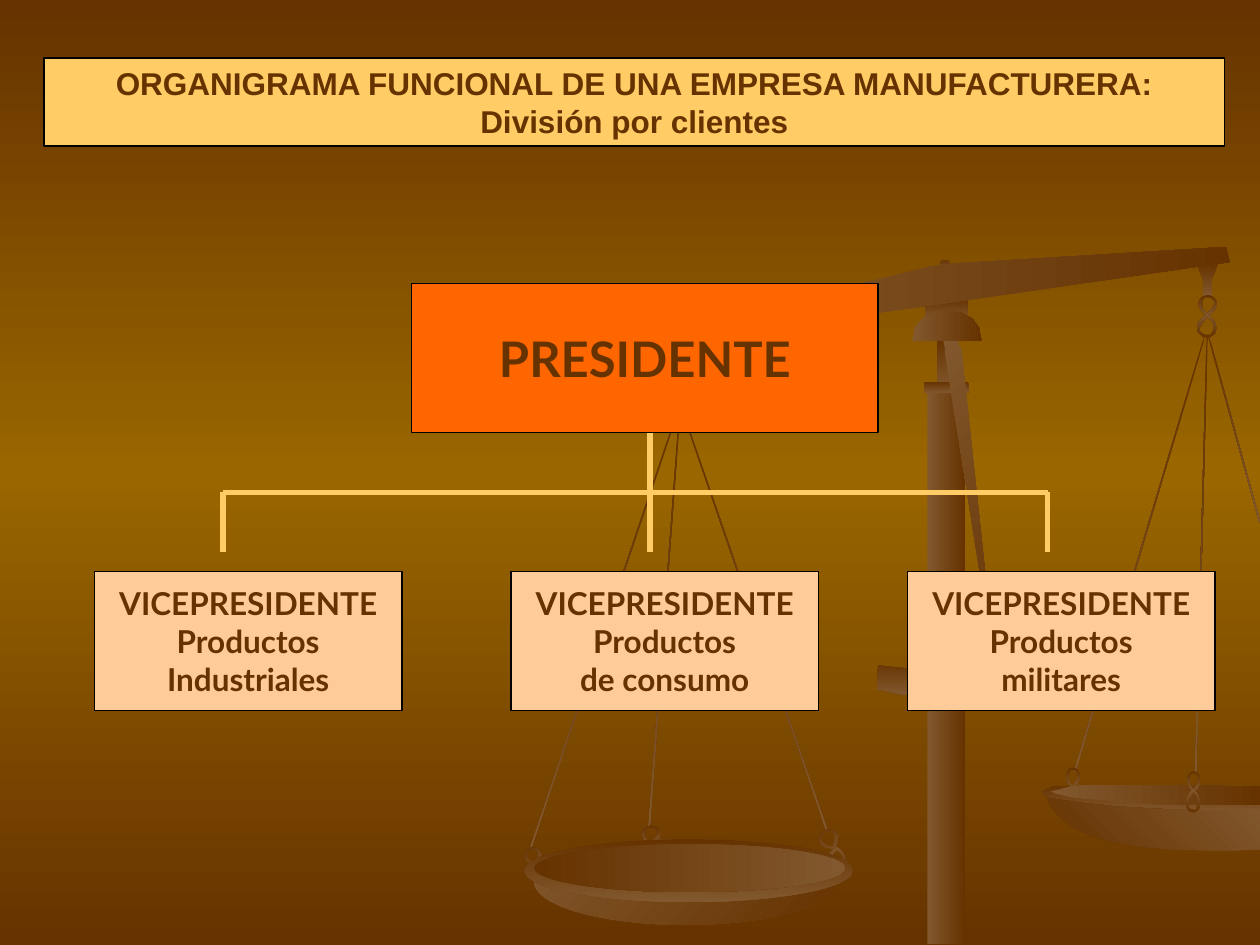
import copy
from dataclasses import dataclass

import lxml.etree
import pptx
import pptx.dml.color
import pptx.enum.shapes
import pptx.enum.text
import pptx.oxml.ns
import pptx.util

Pt = pptx.util.Pt
SHAPE = pptx.enum.shapes.MSO_SHAPE
ANCHOR = pptx.enum.text.MSO_ANCHOR


@dataclass(frozen=True)
class Theme:
    dark: str = "663300"
    light: str = "82582E"
    glow: str = "996600"
    banner: str = "FFCC66"
    president: str = "FF6600"
    vice: str = "FFCC99"
    outline: str = "000000"
    title_font: str = "Arial"
    chart_font: str = "Lato"
    body_size: float = 18
    president_size: float = 28
    outline_width: float = 0.75
    branch_width: float = 3


def color(value):
    return pptx.dml.color.RGBColor.from_string(value)


class Painter:
    def __init__(self, slide, theme):
        self.slide, self.theme = slide, theme

    def background(self):
        fill = self.slide.background.fill
        self.gradient(fill, (self.theme.dark, self.theme.glow), 90)
        stops = fill.gradient_stops
        stops[1].position = 0.5
        last = copy.deepcopy(stops[0]._gs)
        last.set("pos", "100000")
        stops[1]._gs.addnext(last)

    def gradient(self, fill, colors, angle):
        """Two-colour gradient; the angle runs clockwise."""
        fill.gradient()
        fill.gradient_angle = -angle % 360
        for stop, value in zip(fill.gradient_stops, colors):
            stop.color.rgb = color(value)

    def shade(self, shape, angle, light_first, rotation=0):
        colors = (self.theme.dark, self.theme.light)
        self.gradient(shape.fill, colors[::-1] if light_first else colors, angle)
        shape.line.fill.background()
        shape.shadow.inherit = False
        shape.rotation = rotation

    def solid(self, kind, box, angle=90, light_first=False, rotation=0):
        shape = self.slide.shapes.add_shape(kind, *map(Pt, box))
        self.shade(shape, angle, light_first, rotation)

    def outline(self, contours, angle=90, light_first=False, rotation=0):
        contours = [[(Pt(x), Pt(y)) for x, y in contour] for contour in contours]
        builder = self.slide.shapes.build_freeform(*contours[0][0])
        for index, contour in enumerate(contours):
            if index:
                builder.move_to(*contour[0])
            builder.add_line_segments(contour[1:], close=True)
        self.shade(builder.convert_to_shape(), angle, light_first, rotation)

    def ring(self, left, top, width, height, rotation=0):
        self.outline([[(left + x * width, top + y * height) for x, y in contour]
                      for contour in RING], rotation=rotation)

    def box(self, bounds, fill, lines, font_name, size,
            anchor=ANCHOR.MIDDLE, wrap=False, space_before=0):
        shape = self.slide.shapes.add_shape(SHAPE.RECTANGLE, *map(Pt, bounds))
        shape.shadow.inherit = False
        shape.fill.solid()
        shape.fill.fore_color.rgb = color(fill)
        shape.line.color.rgb = color(self.theme.outline)
        shape.line.width = Pt(self.theme.outline_width)
        frame = shape.text_frame
        frame.word_wrap, frame.vertical_anchor = wrap, anchor
        frame.text = "\n".join(lines)
        for paragraph in frame.paragraphs:
            paragraph.alignment = pptx.enum.text.PP_ALIGN.CENTER
            paragraph.space_before = Pt(space_before)
            font = paragraph.font
            font.name, font.size, font.bold = font_name, Pt(size), True
            font.color.rgb = color(self.theme.dark)

    def branch(self, *ends):
        line = self.slide.shapes.add_connector(
            pptx.enum.shapes.MSO_CONNECTOR.STRAIGHT, *map(Pt, ends))
        line.line.color.rgb = color(self.theme.banner)
        line.line.width = Pt(self.theme.branch_width)
        lxml.etree.SubElement(line._element.spPr, pptx.oxml.ns.qn("a:effectLst"))


# Chain link as fractions of its box: outer edge, then hole
RING = [
    [(0.5, 1), (0.75, 0.82), (1, 0.6), (1, 0.3), (0.75, 0.06), (0.5, 0),
     (0.27, 0.06), (0.1, 0.18), (0, 0.41), (0.13, 0.7), (0.33, 0.88)],
    [(0.55, 0.12), (0.75, 0.18), (0.87, 0.3), (0.87, 0.41), (0.75, 0.59), (0.6, 0.76),
     (0.48, 0.88), (0.33, 0.76), (0.2, 0.59), (0.2, 0.3), (0.33, 0.12)],
]
# Cords: left, top, height, rotation
CORDS = [(650.9, 187.2, 259.2, 16.6), (686.2, 191.5, 249.8, 1.5),
         (704.9, 190.1, 110.2, 344.6), (430.6, 226.8, 254.2, 341),
         (344.9, 227.5, 265, 18.6), (379.4, 234, 238.3, 4.2)]
BRACKET = [(501.8, 380.2), (521.3, 382.3), (532.1, 382.3), (545, 381.6), (560.2, 380.2),
           (577.4, 377.3), (578.9, 391.7), (563, 394.6), (553, 396.7), (540.7, 397.4),
           (527.8, 397.4), (514.1, 396.7), (501.1, 393.8)]
RIGHT_RIM = [(689.8, 449.3), (655.2, 449.3), (637.2, 448.6), (601.9, 449.3), (598.3, 450.7),
             (595.4, 452.2), (596.9, 454.3), (599, 455.8), (606.2, 457.9), (621.4, 460.1),
             (643.7, 462.2), (673.2, 463.7), (689.8, 464.4), (720, 464.4), (720, 450.7),
             (705.6, 450.7)]
RIGHT_BOWL = [(598.3, 455.8), (601.2, 462.2), (606.2, 467.3), (613.4, 473), (622.8, 477.4),
              (635, 481), (650.2, 483.8), (668.2, 485.3), (689, 486), (705.6, 486),
              (720, 485.3), (720, 463), (686.2, 463), (661, 462.2), (637.9, 460.8),
              (617, 458.6)]
RIGHT_INSIDE = [(688.3, 448.6), (620.6, 448.6), (612.7, 449.3), (607, 450.7), (600.5, 452.2),
                (603.4, 453.6), (613.4, 455.8), (632.2, 457.2), (656.6, 459.4),
                (687.6, 460.1), (720, 460.1), (720, 449.3), (704.9, 449.3)]
HOOK = [(696.2, 150.5), (684, 151.2), (687.6, 159.8), (687.6, 169.9), (692.6, 169.9),
        (692.6, 159.1)]
BEAM = [(700.6, 141.1), (702.7, 149.8), (378, 196.6), (377.3, 190.1), (530.6, 152.6),
        (546.5, 150.5)]
STRUT = [(569.5, 388.1), (540, 201.6), (540, 198.7), (538.6, 193), (547.2, 190.8),
         (547.9, 197.3), (549.4, 199.4)]
CUP = [(541.4, 177.8), (549.4, 178.6), (555.8, 182.2), (559.4, 187.2), (560.9, 195.1),
       (521.3, 195.1), (522.7, 187.2), (527, 182.2), (532.8, 178.6)]


def draw_scales(painter):
    # Top mount and cords
    painter.solid(SHAPE.RECTANGLE, (528.5, 170.6, 24.5, 13))
    painter.solid(SHAPE.OVAL, (537.1, 148.3, 5.8, 5.8))
    for left, top, height, rotation in CORDS:
        painter.solid(SHAPE.RECTANGLE, (left, top, 0.72, height), rotation=rotation)
    painter.ring(609.1, 438.5, 7.9, 12.2)
    painter.outline([BRACKET])
    # Right pan
    painter.outline([RIGHT_RIM])
    painter.outline([RIGHT_BOWL], 315)
    painter.outline([RIGHT_INSIDE], 0, True)
    # Beam, hook and links
    painter.outline([HOOK])
    painter.ring(684.7, 168.5, 10.8, 12.2)
    painter.ring(684, 179.3, 11.5, 13.7, 180)
    painter.ring(678.2, 440.6, 7.9, 12.2)
    painter.outline([BEAM], 0, True)
    painter.ring(366.5, 471.6, 10.8, 11.5)
    painter.ring(472.3, 483.8, 11.5, 13.7, 180)
    painter.ring(300.2, 483.8, 9.4, 11.5, -35)
    # Left pan
    painter.solid(SHAPE.OVAL, (305.3, 479.5, 172.8, 49), 45, True)
    painter.solid(SHAPE.OVAL, (299.5, 479.5, 187.9, 36))
    painter.solid(SHAPE.OVAL, (305.3, 482.4, 177.8, 27.4), 0)
    painter.ring(468, 473.8, 11.5, 12.2, -35)
    painter.ring(677.5, 450.7, 8.6, 13.7, 180)
    # Pillar
    painter.solid(SHAPE.RECTANGLE, (529.9, 221.8, 21.6, 317.5), 0, True)
    painter.solid(SHAPE.RECTANGLE, (535.7, 193, 9.4, 30.2))
    painter.solid(SHAPE.ROUNDED_RECTANGLE, (527.8, 218.2, 25.9, 6.5))
    painter.outline([STRUT], 45, True)
    painter.outline([CUP], 0, True)


def draw_organization(painter):
    theme = painter.theme
    # Title and president
    painter.box((25.2, 33.1, 674.6, 50.4), theme.banner,
                ["ORGANIGRAMA FUNCIONAL DE UNA EMPRESA MANUFACTURERA: División por clientes"],
                theme.title_font, theme.body_size, ANCHOR.TOP, True, 11.2)
    painter.box((235.2, 162.2, 266.6, 85), theme.president, ["PRESIDENTE"],
                theme.chart_font, theme.president_size)
    # Vice presidents
    for left, area in ((54, "Industriales"), (292, "de consumo"), (518.6, "militares")):
        painter.box((left, 326.6, 175.7, 79.4), theme.vice,
                    ["VICEPRESIDENTE", "Productos", area], theme.chart_font, theme.body_size)
    # Branches
    left, middle, right, bar, bottom = 127.4, 371.5, 598.6, 281.4, 315.4
    painter.branch(middle, 247.4, middle, bottom)
    painter.branch(left, bar, right, bar)
    for x in (left, right):
        painter.branch(x, bar, x, bottom)


def main():
    presentation = pptx.Presentation()
    presentation.slide_width, presentation.slide_height = Pt(720), Pt(540)
    slide = presentation.slides.add_slide(presentation.slide_layouts[6])
    painter = Painter(slide, Theme())
    painter.background()
    draw_scales(painter)
    draw_organization(painter)
    presentation.save("out.pptx")


if __name__ == "__main__":
    main()
